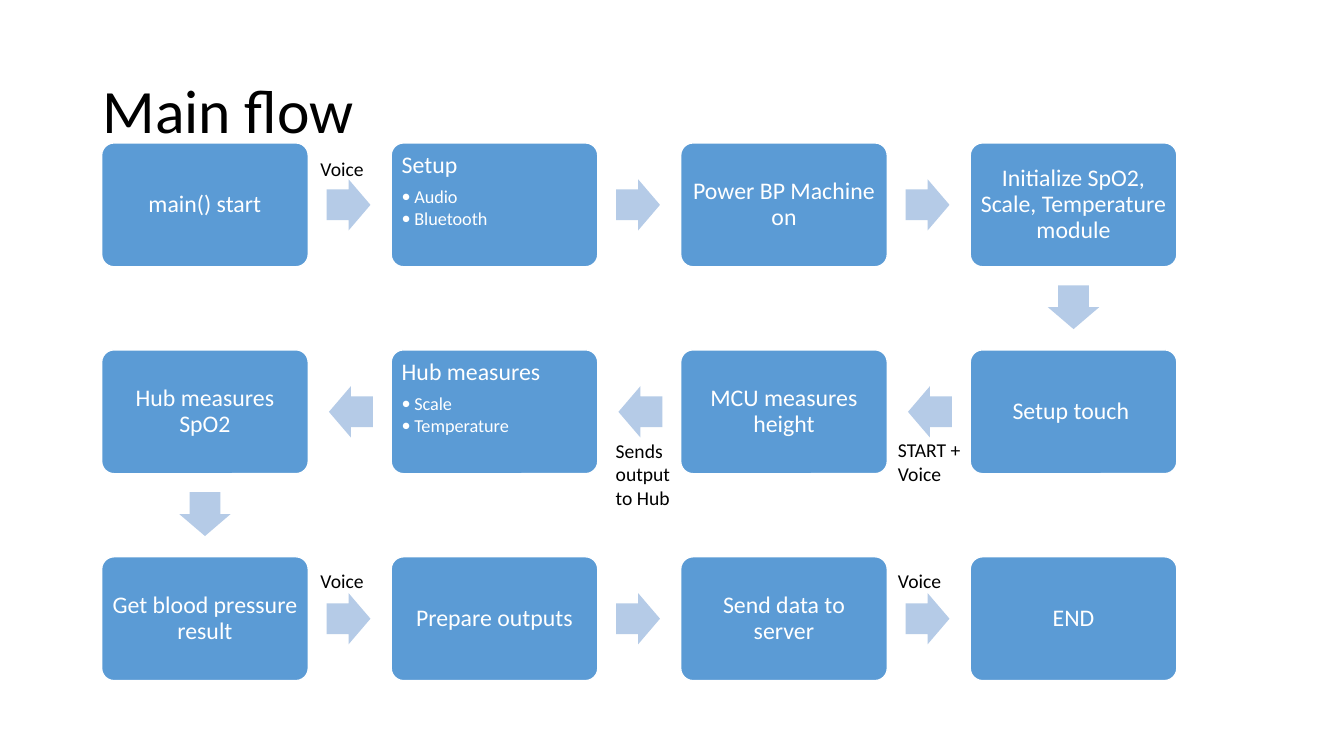
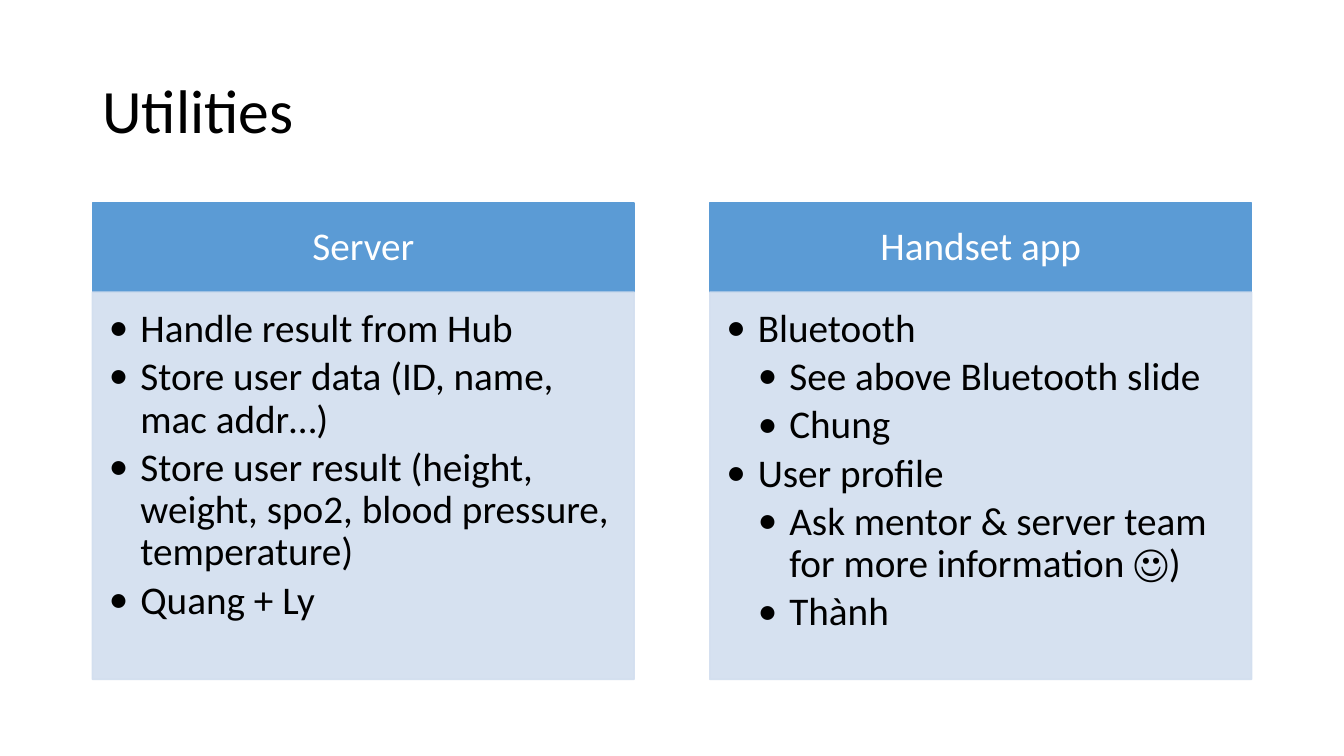
from lxml import etree
from pptx import Presentation
from pptx.dml.color import RGBColor
from pptx.enum import shapes, text
from pptx.oxml import ns
from pptx.util import Pt

BLACK = RGBColor(0x00, 0x00, 0x00)
WHITE = RGBColor(0xFF, 0xFF, 0xFF)
BLUE = RGBColor(0x5B, 0x9B, 0xD5)
ARROW_BLUE = RGBColor(0xB5, 0xCB, 0xE7)
PALE_BLUE = RGBColor(0xD2, 0xDE, 0xEF)
FONT = "Calibri"
LEFT, CENTER = text.PP_ALIGN.LEFT, text.PP_ALIGN.CENTER

presentation = Presentation()
presentation.slide_width, presentation.slide_height = Pt(960), Pt(540)


def write_paragraph(frame, words, size, color, align=LEFT, spacing=0.9,
                    after=0, level=0, hang=0):
    """Add a paragraph to the frame; one of level 1 or more gets a bullet."""
    paragraph = frame.add_paragraph() if frame.text else frame.paragraphs[0]
    paragraph.text = words
    paragraph.alignment = align
    paragraph.line_spacing = spacing
    paragraph.space_before, paragraph.space_after = Pt(0), Pt(after)
    if level:
        paragraph.level = level
        properties = paragraph._p.get_or_add_pPr()
        properties.set("marL", str(Pt(level * hang)))
        properties.set("indent", str(-Pt(hang)))
        etree.SubElement(properties, ns.qn("a:buFont")).set("typeface", FONT)
        etree.SubElement(properties, ns.qn("a:buChar")).set("char", "•")
    font = paragraph.font
    font.name, font.size, font.color.rgb = FONT, Pt(size), color


def add_titled_slide(title_text):
    slide = presentation.slides.add_slide(presentation.slide_layouts[5])
    title = slide.shapes.title
    title.left, title.top, title.width, title.height = Pt(66), Pt(28.75), Pt(828), Pt(104.4)
    title.text_frame.vertical_anchor = text.MSO_ANCHOR.MIDDLE
    write_paragraph(title.text_frame, title_text, 44, BLACK)
    return slide


# Main flow: steps run right, then left, then right again
COLUMNS = 4
STEP_WIDTH, STEP_HEIGHT = 147.6, 88.5
FLOW_LEFT, FLOW_TOP = 72.6, 102.1
COLUMN_PITCH, ROW_PITCH = 206.8, 147.8
ARROW_WIDTH, ARROW_HEIGHT = 31.3, 36.6
ARROW_SHIFT = 0.8  # each arrow sits slightly nearer the step it leaves

steps = [
    ["main() start"], ["Setup", "Audio", "Bluetooth"], ["Power BP Machine on"],
    ["Initialize SpO2, Scale, Temperature module"],
    ["Setup touch "], ["MCU measures height"],
    ["Hub measures", "Scale", "Temperature"], ["Hub measures SpO2"],
    ["Get blood pressure result"], ["Prepare outputs"],
    ["Send data to server"], ["END"],
]
slide = add_titled_slide("Main flow")
for index, (heading, *details) in enumerate(steps):
    row, place = divmod(index, COLUMNS)
    direction = 1 if row % 2 == 0 else -1
    column = place if direction == 1 else COLUMNS - 1 - place
    left = FLOW_LEFT + column * COLUMN_PITCH
    top = FLOW_TOP + row * ROW_PITCH

    step = slide.shapes.add_shape(shapes.MSO_SHAPE.ROUNDED_RECTANGLE,
                                  Pt(left), Pt(top), Pt(STEP_WIDTH), Pt(STEP_HEIGHT))
    step.adjustments[0] = 0.1
    step.shadow.inherit = False
    step.fill.solid()
    step.fill.fore_color.rgb = BLUE
    step.line.color.rgb, step.line.width = WHITE, Pt(1)
    frame = step.text_frame
    frame.word_wrap = True
    frame.margin_left = frame.margin_right = Pt(4.9)
    frame.margin_top = frame.margin_bottom = Pt(4.9)
    frame.vertical_anchor = text.MSO_ANCHOR.TOP if details else text.MSO_ANCHOR.MIDDLE
    write_paragraph(frame, heading, 17, WHITE, LEFT if details else CENTER,
                    after=6 if details else 0)
    for detail in details:
        write_paragraph(frame, detail, 13, WHITE, after=2, level=1, hang=9)

    if index == len(steps) - 1:
        continue
    center_x, center_y = left + STEP_WIDTH / 2, top + STEP_HEIGHT / 2
    if place == COLUMNS - 1:
        center_y += ROW_PITCH / 2 - ARROW_SHIFT
        rotation = 90
    else:
        center_x += direction * (COLUMN_PITCH / 2 - ARROW_SHIFT)
        rotation = 0 if direction == 1 else 180
    arrow = slide.shapes.add_shape(
        shapes.MSO_SHAPE.RIGHT_ARROW, Pt(center_x - ARROW_WIDTH / 2),
        Pt(center_y - ARROW_HEIGHT / 2), Pt(ARROW_WIDTH), Pt(ARROW_HEIGHT))
    arrow.adjustments[0], arrow.adjustments[1] = 0.6, 0.5
    arrow.rotation = rotation
    arrow.shadow.inherit = False
    arrow.fill.solid()
    arrow.fill.fore_color.rgb = ARROW_BLUE
    arrow.line.fill.background()

arrow_labels = [
    (["Sends", "output", "to Hub"], 432.7, 309.6, 56.9, 58.3),
    (["START +", "Voice"], 634.3, 309.6, 59.8, 41),
    (["Voice"], 221.8, 402.5, 46, 24.5),
    (["Voice"], 221.8, 108.7, 46, 24.5),
    (["Voice"], 634.3, 402.5, 46, 24.5),
]
for lines, left, top, width, height in arrow_labels:
    label = slide.shapes.add_textbox(Pt(left), Pt(top), Pt(width), Pt(height))
    label.text_frame.word_wrap = False
    label.text_frame.auto_size = text.MSO_AUTO_SIZE.SHAPE_TO_FIT_TEXT
    for line in lines:
        write_paragraph(label.text_frame, line, 14, BLACK, spacing=1.0)

# Utilities: two headed lists
PANEL_LEFT, PANEL_PITCH, PANEL_WIDTH = 66, 441, 387
HEADER_TOP, HEADER_HEIGHT, BODY_HEIGHT = 145, 63.6, 276.7

panels = [
    ("Server", [
        (1, "Handle result from Hub"),
        (1, "Store user data (ID, name, mac addr…)"),
        (1, "Store user result (height, weight, spo2, blood pressure, temperature)"),
        (1, "Quang + Ly"),
    ]),
    ("Handset app", [
        (1, "Bluetooth"),
        (2, "See above Bluetooth slide"),
        (2, "Chung"),
        (1, "User profile"),
        (2, "Ask mentor & server team for more information ☺)"),
        (2, "Thành"),
    ]),
]
slide = add_titled_slide("Utilities")
for index, (heading, items) in enumerate(panels):
    left = PANEL_LEFT + index * PANEL_PITCH
    header, body = [
        slide.shapes.add_shape(shapes.MSO_SHAPE.RECTANGLE, Pt(left), Pt(top),
                               Pt(PANEL_WIDTH), Pt(height))
        for top, height in ((HEADER_TOP, HEADER_HEIGHT),
                            (HEADER_TOP + HEADER_HEIGHT, BODY_HEIGHT))]
    for shape, color in ((header, BLUE), (body, PALE_BLUE)):
        shape.shadow.inherit = False
        shape.fill.solid()
        shape.fill.fore_color.rgb = color
        shape.line.color.rgb, shape.line.width = color, Pt(1)
        shape.text_frame.word_wrap = True
    for color_element in body._element.spPr.iter(ns.qn("a:srgbClr")):
        etree.SubElement(color_element, ns.qn("a:alpha")).set("val", "90000")

    header.text_frame.vertical_anchor = text.MSO_ANCHOR.MIDDLE
    write_paragraph(header.text_frame, heading, 28, WHITE, CENTER)

    frame = body.text_frame
    frame.vertical_anchor = text.MSO_ANCHOR.TOP
    frame.margin_left = frame.margin_top = Pt(11.8)
    frame.margin_right, frame.margin_bottom = Pt(15.7), Pt(17.6)
    for level, item in items:
        write_paragraph(frame, item, 28, BLACK, after=4.2, level=level, hang=22.5)

presentation.save("out.pptx")
